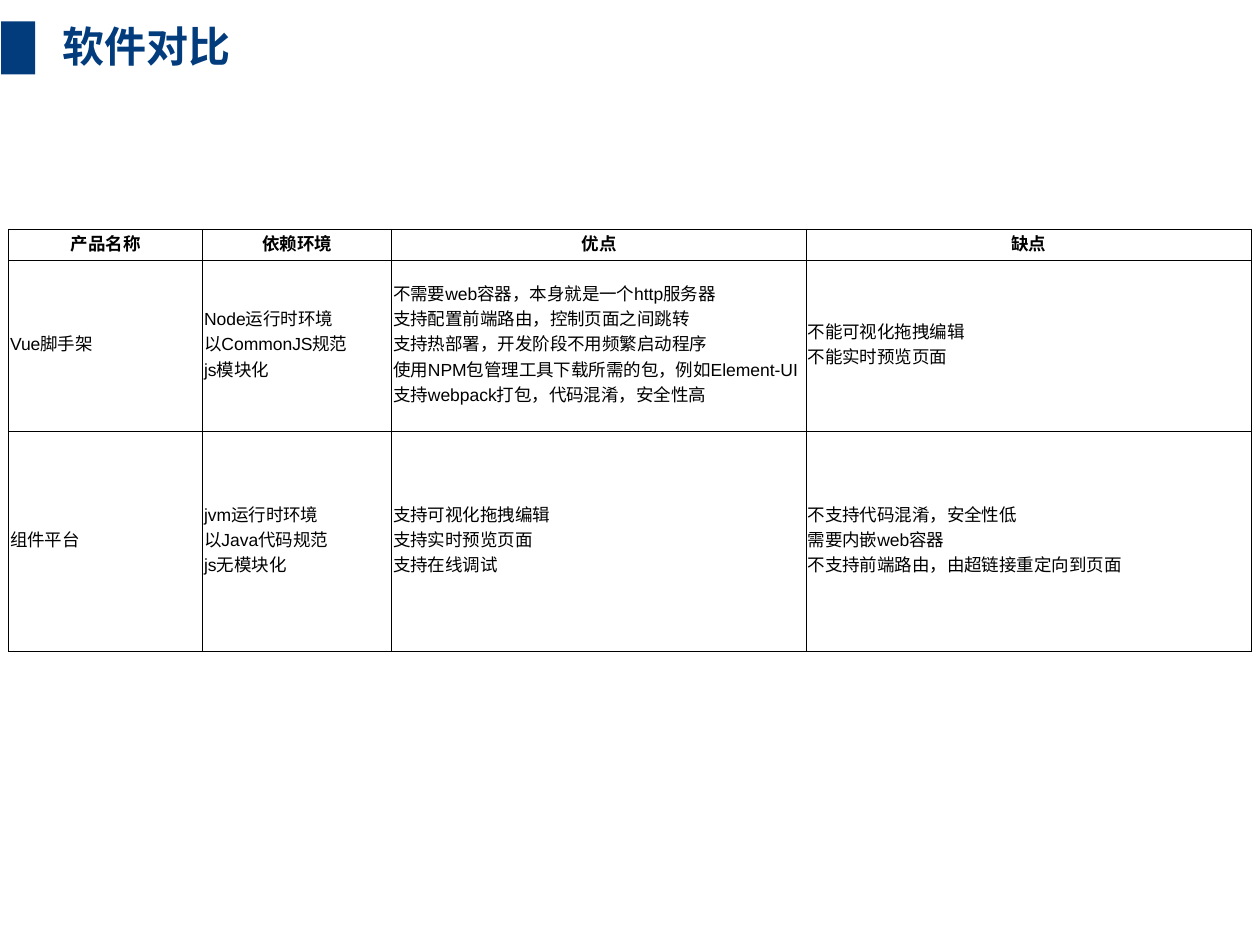
from lxml import etree
from pptx import Presentation
from pptx import util as u
from pptx.dml.color import RGBColor
from pptx.enum import shapes, text
from pptx.oxml import ns

NAVY = RGBColor(0x02, 0x3C, 0x7D)
BLACK = RGBColor(0, 0, 0)
CHINESE_FONT = "Noto Sans CJK SC"

HEADINGS = ["产品名称", "依赖环境", "优点", "缺点"]
PRODUCTS = [
    [
        "Vue脚手架",
        "Node运行时环境\n以CommonJS规范\njs模块化",
        "不需要web容器，本身就是一个http服务器\n"
        "支持配置前端路由，控制页面之间跳转\n"
        "支持热部署，开发阶段不用频繁启动程序\n"
        "使用NPM包管理工具下载所需的包，例如Element-UI\n"
        "支持webpack打包，代码混淆，安全性高",
        "不能可视化拖拽编辑\n不能实时预览页面",
    ],
    [
        "组件平台",
        "jvm运行时环境\n以Java代码规范\njs无模块化",
        "支持可视化拖拽编辑\n支持实时预览页面\n支持在线调试",
        "不支持代码混淆，安全性低\n需要内嵌web容器\n不支持前端路由，由超链接重定向到页面",
    ],
]
COLUMN_WIDTHS = [1.54, 1.5, 3.29, 3.53]
ROW_HEIGHTS = [0.25, 1.35, 1.75]


def write(frame, wording, size=10, font="Arial", color=BLACK, bold=False,
          align=text.PP_ALIGN.LEFT):
    for number, line in enumerate(wording.split("\n")):
        paragraph = frame.add_paragraph() if number else frame.paragraphs[0]
        paragraph.alignment = align
        run = paragraph.add_run()
        run.text = line
        run.font.size = u.Pt(size)
        run.font.name = font
        run.font.bold = bold
        run.font.color.rgb = color
        east_asian = etree.SubElement(run.font._element, ns.qn("a:ea"))
        east_asian.set("typeface", CHINESE_FONT)


class ComparisonSlide:
    """Draws the heading and the comparison table in one style."""

    def __init__(self, deck, accent=NAVY, border=BLACK):
        self.slide = deck.slides.add_slide(deck.slide_layouts[6])
        self.accent = accent
        self.border = border

    def marker(self, *box):
        block = self.slide.shapes.add_shape(
            shapes.MSO_SHAPE.RECTANGLE, *map(u.Inches, box))
        block.shadow.inherit = False
        block.fill.solid()
        block.fill.fore_color.rgb = self.accent
        block.line.fill.background()

    def title(self, wording, *box):
        frame = self.slide.shapes.add_textbox(*map(u.Inches, box)).text_frame
        frame.word_wrap = False
        frame.auto_size = text.MSO_AUTO_SIZE.SHAPE_TO_FIT_TEXT
        write(frame, wording, size=24, font=CHINESE_FONT, color=self.accent, bold=True)

    def outline(self, cell):
        properties = cell._tc.get_or_add_tcPr()
        for side in ("lnL", "lnR", "lnT", "lnB"):
            line = etree.SubElement(properties, ns.qn(f"a:{side}"), w=str(u.Pt(0.5)))
            fill = etree.SubElement(line, ns.qn("a:solidFill"))
            etree.SubElement(fill, ns.qn("a:srgbClr"), val=str(self.border))

    def table(self, rows, left, top, widths, heights):
        box = (left, top, sum(widths), sum(heights))
        table = self.slide.shapes.add_table(
            len(rows), len(widths), *map(u.Inches, box)).table
        table.horz_banding = False
        for column, width in zip(table.columns, widths):
            column.width = u.Inches(width)
        for row, height in zip(table.rows, heights):
            row.height = u.Inches(height)
        for r, row in enumerate(rows):
            heading = r == 0
            for c, wording in enumerate(row):
                cell = table.cell(r, c)
                cell.margin_left = cell.margin_right = cell.margin_top = u.Inches(0.01)
                cell.margin_bottom = u.Inches(0.05)
                cell.vertical_anchor = text.MSO_ANCHOR.MIDDLE
                self.outline(cell)
                cell.fill.background()
                write(cell.text_frame, wording, bold=heading,
                      align=text.PP_ALIGN.CENTER if heading else text.PP_ALIGN.LEFT)


def main():
    deck = Presentation()
    deck.slide_width, deck.slide_height = u.Inches(10), u.Inches(7.5)
    comparison = ComparisonSlide(deck)
    comparison.marker(0.01, 0.17, 0.27, 0.42)
    comparison.title("软件对比", 0.4, 0.11, 1.53, 0.5)
    comparison.table([HEADINGS] + PRODUCTS, 0.07, 1.82, COLUMN_WIDTHS, ROW_HEIGHTS)
    deck.save("out.pptx")


if __name__ == "__main__":
    main()
